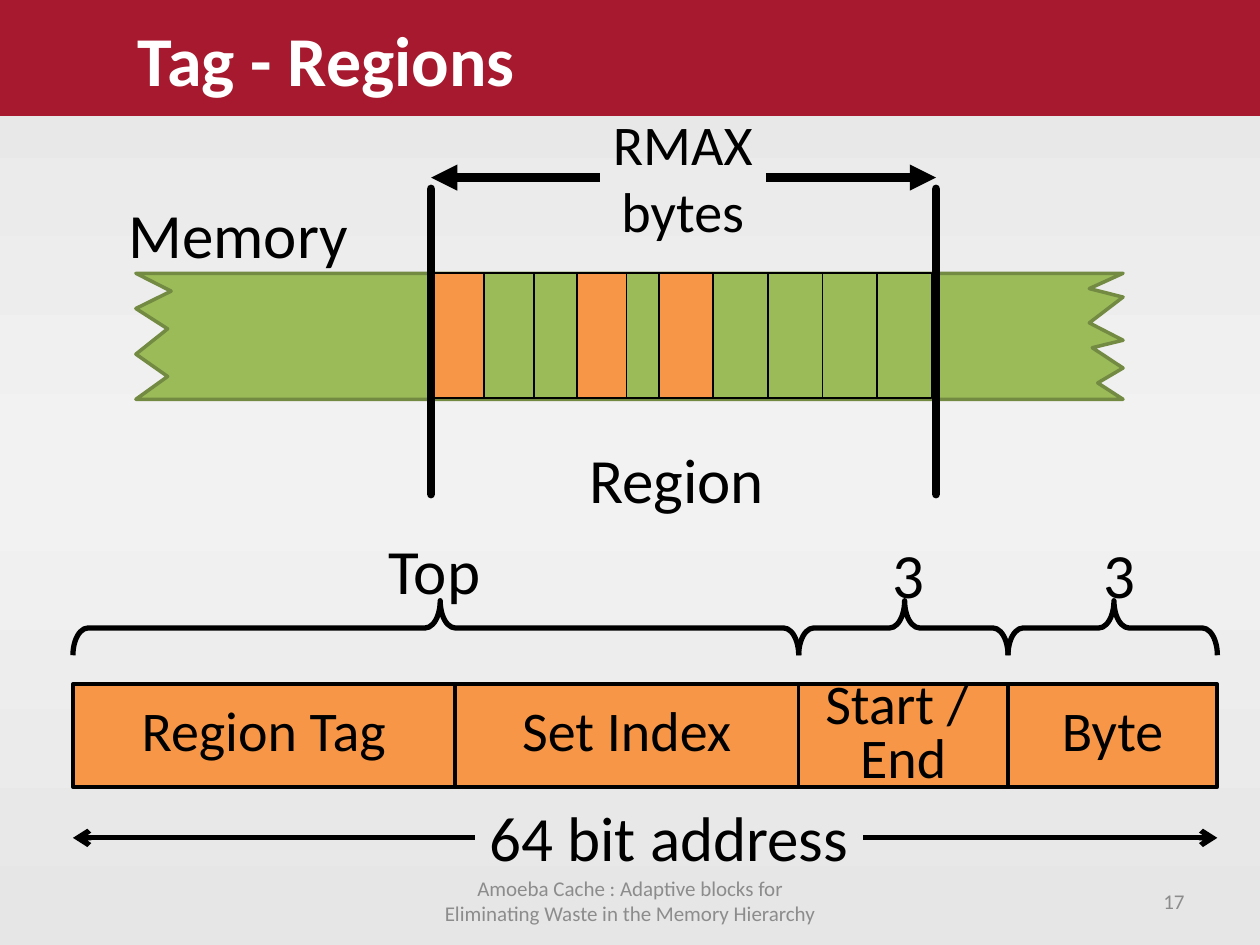
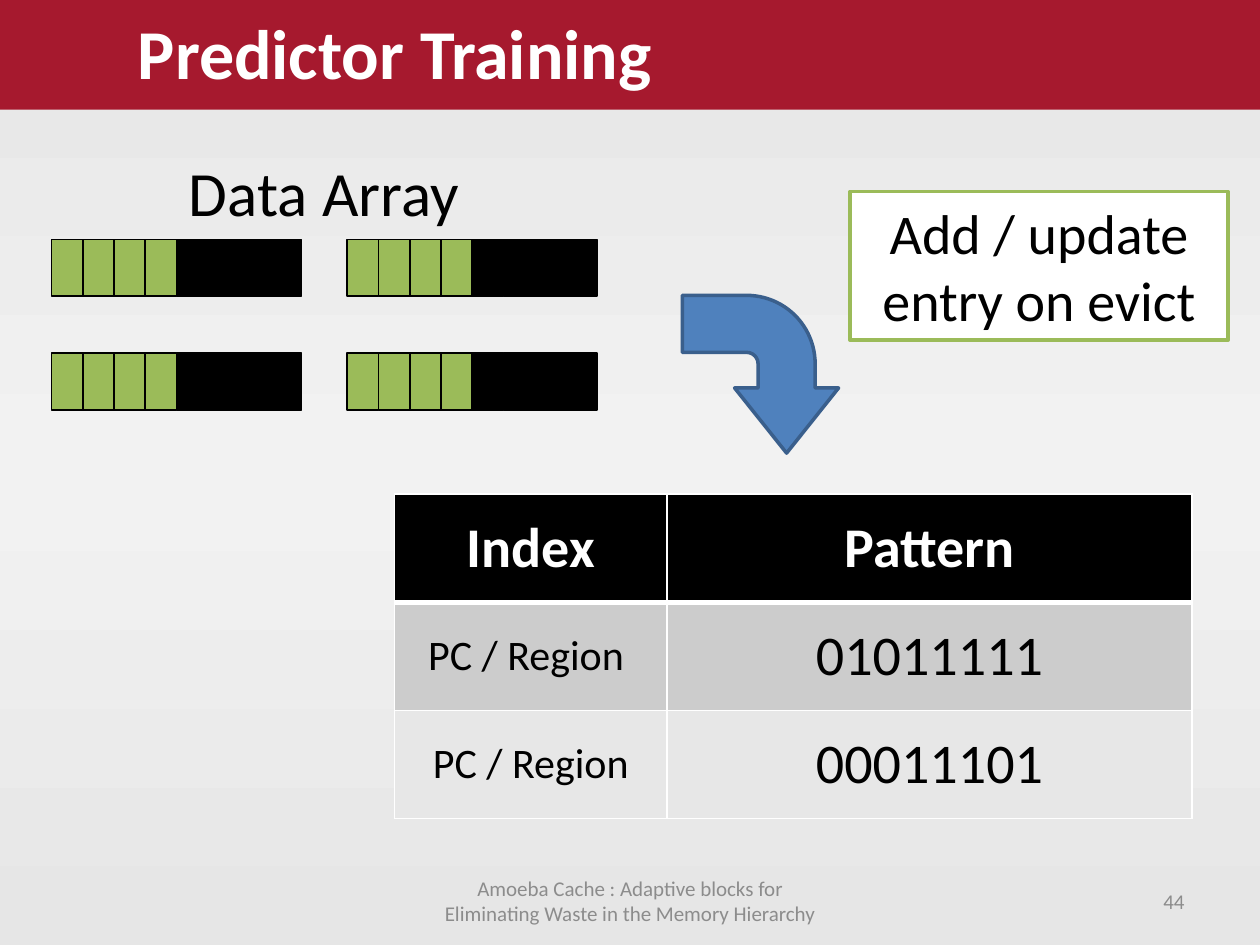
import copy

import lxml.etree
import pptx
import pptx.dml.color
import pptx.enum.shapes
import pptx.enum.text
import pptx.oxml.ns
import pptx.util

Cm = pptx.util.Cm
Pt = pptx.util.Pt
SHAPE = pptx.enum.shapes.MSO_SHAPE
ALIGN = pptx.enum.text.PP_ALIGN
ANCHOR = pptx.enum.text.MSO_ANCHOR
qn = pptx.oxml.ns.qn

FONT = "Calibri"
BLACK, WHITE = "000000", "FFFFFF"
CRIMSON, GREEN, ORANGE, BLUE = "A6192E", "9BBB59", "F79646", "4F81BD"
DARK_GREEN, DARK_BLUE, FOOTER_GREY = "738A42", "3A5F8C", "8C8C8C"
FOOTER = "Amoeba Cache : Adaptive blocks for Eliminating Waste in the Memory Hierarchy"


def rgb(value):
    """Turn a hex string into a colour."""
    return pptx.dml.color.RGBColor.from_string(value)


def add_element(parent, tag, **attributes):
    """Append an XML element to its parent."""
    return lxml.etree.SubElement(parent, qn(tag), **attributes)


def write(frame, text, size=36, color=BLACK, bold=False, align=ALIGN.LEFT,
          anchor=None, wrap=None, spacing=None, indent=None):
    """Fill a text frame, one paragraph per line of text."""
    if anchor is not None:
        frame.vertical_anchor = anchor
    if wrap is not None:
        frame.word_wrap = wrap
    if indent is not None:
        frame.margin_left = Cm(indent)
    for number, words in enumerate(text.split("\n")):
        paragraph = frame.add_paragraph() if number else frame.paragraphs[0]
        paragraph.alignment = align
        paragraph.line_spacing = spacing
        run = paragraph.add_run()
        run.text = words
        run.font.name = FONT
        run.font.size = Pt(size)
        run.font.bold = bold
        run.font.color.rgb = rgb(color)


def label(slide, box, text, wrap=False, **style):
    """Place free-standing text."""
    frame = slide.shapes.add_textbox(*map(Cm, box)).text_frame
    write(frame, text, wrap=wrap, **style)


def paint(shape, fill=None, line=None, width=1):
    """Set fill and outline and drop the shadow."""
    shape.shadow.inherit = False
    if fill:
        shape.fill.solid()
        shape.fill.fore_color.rgb = rgb(fill)
    else:
        shape.fill.background()
    if line:
        shape.line.color.rgb = rgb(line)
        shape.line.width = Pt(width)
    else:
        shape.line.fill.background()


def block(slide, box, kind=SHAPE.RECTANGLE, **colours):
    """Place a preset shape."""
    shape = slide.shapes.add_shape(kind, *map(Cm, box))
    paint(shape, **colours)
    return shape


def rule(slide, start, end, width, head=None):
    """Draw a straight black line with an optional arrowhead at its end."""
    line = slide.shapes.add_connector(
        pptx.enum.shapes.MSO_CONNECTOR.STRAIGHT, *map(Cm, start + end))
    line.line.color.rgb = rgb(BLACK)
    line.line.width = Pt(width)
    properties = line.element.spPr
    stroke = properties.find(qn("a:ln"))
    if head:
        add_element(stroke, "a:tailEnd", type=head)
    else:
        stroke.set("cap", "rnd")
    add_element(properties, "a:effectLst")


def brace(slide, left, top, span, depth=1.1):
    """Draw a brace that opens downwards over a span."""
    box = (left + (span - depth) / 2, top + (depth - span) / 2, depth, span)
    shape = block(slide, box, SHAPE.LEFT_BRACE, line=BLACK, width=3)
    shape.rotation = 90
    shape.adjustments[0], shape.adjustments[1] = 0.276, 0.494


def cell_row(slide, left, top, width, height, fills):
    """Draw touching cells from left to right."""
    for number, fill in enumerate(fills):
        block(slide, (left + number * width, top, width, height),
              fill=fill, line=BLACK)


def set_background(master):
    """Give every slide the soft grey gradient."""
    fill = master.background.fill
    fill.gradient()
    stops = next(master.element.iter(qn("a:gsLst")))
    stops.append(copy.deepcopy(stops[0]))
    shades = ((0, "E6E6E6"), (0.5, "F2F2F2"), (1, "E6E6E6"))
    for stop, (position, shade) in zip(fill.gradient_stops, shades):
        stop.position = position
        stop.color.rgb = rgb(shade)
    fill.gradient_angle = 270


def start_slide(deck, title, number, band_top=0):
    """Add a slide with title band, footer and number."""
    slide = deck.slides.add_slide(deck.slide_layouts[6])
    footer = dict(size=12, color=FOOTER_GREY, anchor=ANCHOR.MIDDLE, wrap=True)
    label(slide, (8.68, 17.65, 8.05, 1.02), FOOTER, align=ALIGN.CENTER, **footer)
    label(slide, (18.2, 17.65, 5.93, 1.02), number, align=ALIGN.RIGHT, **footer)
    band = block(slide, (0, band_top, 25.4, 2.34), fill=CRIMSON)
    write(band.text_frame, title, size=40, color=WHITE, bold=True,
          anchor=ANCHOR.MIDDLE, indent=2.78)
    return slide


def memory_strip(slide, left, top):
    """Draw the torn memory strip with its marked region."""
    height = 2.54
    right_tear = [(19.9, 0), (19.22, 0.31), (19.9, 0.48), (19.22, 1), (19.9, 1.35),
                  (19.28, 1.5), (19.9, 1.91), (19.39, 2.21), (19.9, height)]
    left_tear = [(0, height), (0.64, 2.08), (0, 1.63), (0.64, 1.12), (0, 0.71),
                 (0.71, 0.36)]
    outline = slide.shapes.build_freeform(Cm(left), Cm(top), scale=1.0)
    outline.add_line_segments(
        [(Cm(left + x), Cm(top + y)) for x, y in right_tear + left_tear])
    paint(outline.convert_to_shape(), GREEN, DARK_GREEN, 2)
    label(slide, (left - 0.4, top - 1.7, 5.26, 1.8), "Memory")

    for offset, width in ((6.02, 1), (8.89, 1), (10.54, 1.1)):
        cell_row(slide, left + offset, top, width, 2.51, [ORANGE] + [GREEN] * 4)

    region_left, region_right = left + 5.95, left + 16.13
    for edge in (region_left, region_right):
        rule(slide, (edge, top - 1.7), (edge, top + 4.45), 5)
    label(slide, (left + 8.89, top + 3.25, 4.06, 1.8), "Region")
    label(slide, (left + 9.35, top - 3.43, 3.35, 3), "RMAX\nbytes",
          size=32, align=ALIGN.CENTER)
    arrow_y = top - 1.93
    for inner, edge in ((9.35, region_left), (12.7, region_right)):
        rule(slide, (left + inner, arrow_y), (edge, arrow_y), 5, "triangle")


def address_layout(slide, left, top):
    """Draw the address fields with braces above and the total below."""
    widths = {"Region Tag": 7.7, "Set Index": 6.93, "Start / \nEnd": 4.22,
              "Byte": 4.22}
    field_left = left
    for name, width in widths.items():
        field = block(slide, (field_left, top, width, 2.08),
                      fill=ORANGE, line=BLACK, width=2)
        write(field.text_frame, name, size=32, align=ALIGN.CENTER,
              anchor=ANCHOR.MIDDLE, spacing=0.8)
        field_left += width

    for offset, span in ((0, 14.63), (14.63, 4.22), (18.85, 4.22)):
        brace(slide, left + offset, top - 1.68, span)
    for bits, x, y, width in (("Top", 6.12, -3.2, 2.36), ("3", 16.28, -3.12, 1.17),
                              ("3", 20.52, -3.12, 1.17)):
        label(slide, (left + x, top + y, width, 1.8), bits)

    label(slide, (left + 8.1, top + 2.18, 7.83, 1.8), "64 bit address",
          align=ALIGN.CENTER)
    arrow_y = top + 3.1
    for inner, outer in ((8.1, 0), (15.93, 23.07)):
        rule(slide, (left + inner, arrow_y), (left + outer, arrow_y), 3, "arrow")


def data_array(slide, left, top):
    """Draw the grid of half-used cache blocks."""
    label(slide, (left + 2.52, top - 1.86, 5.99, 1.8), "Data Array")
    for column in range(2):
        for row in range(2):
            cell_row(slide, left + column * 5.96, top + row * 2.29, 0.63, 1.14,
                     [GREEN] * 4 + [BLACK] * 4)


def edge_cell(cell, **widths):
    """Give a table cell white borders, one width per side."""
    properties = cell._tc.get_or_add_tcPr()
    for side in "LRTB":
        border = add_element(properties, "a:ln" + side,
                             w=str(Pt(widths.get(side, 1))))
        add_element(add_element(border, "a:solidFill"), "a:srgbClr", val=WHITE)


def predictor_table(slide, left, top):
    """Draw the table of indexes and patterns."""
    entries = (("Index", "Pattern"), ("PC / Region ", "01011111"),
               ("PC / Region", "00011101"))
    row_fills = (BLACK, "CCCCCC", "E7E7E7")
    columns = (5.5, 10.58)
    table = slide.shapes.add_table(3, 2, Cm(left), Cm(top), Cm(sum(columns)),
                                   Cm(6.54)).table
    table.first_row = table.horz_banding = False
    for column, width in zip(table.columns, columns):
        column.width = Cm(width)
    for r, (entry, fill) in enumerate(zip(entries, row_fills)):
        header = r == 0
        for c, text in enumerate(entry):
            cell = table.cell(r, c)
            edge_cell(cell, B=3 if header else 1, T=3 if r == 1 else 1)
            cell.fill.solid()
            cell.fill.fore_color.rgb = rgb(fill)
            cell.vertical_anchor = ANCHOR.MIDDLE
            write(cell.text_frame, text, size=32 if header or c else 24,
                  color=WHITE if header else BLACK, bold=header,
                  align=ALIGN.CENTER)


def evict_step(slide, left, top):
    """Draw the turning arrow and its caption."""
    arrow = block(slide, (left, top + 2.11, 3.18, 3.15), SHAPE.BENT_ARROW,
                  fill=BLUE, line=DARK_BLUE, width=2)
    arrow.rotation = 90
    for number, value in enumerate((0.365, 0.333, 0.417, 0.438)):
        arrow.adjustments[number] = value
    caption = block(slide, (left + 3.4, top, 7.62, 3),
                    fill=WHITE, line=GREEN, width=2)
    write(caption.text_frame, "Add / update entry on evict", size=32,
          align=ALIGN.CENTER, anchor=ANCHOR.MIDDLE, wrap=True)


def main():
    """Build both slides and save them."""
    deck = pptx.Presentation()
    deck.slide_width, deck.slide_height = Cm(25.4), Cm(19.05)
    set_background(deck.slide_master)

    regions = start_slide(deck, "Tag - Regions", "17")
    memory_strip(regions, 2.74, 5.51)
    address_layout(regions, 1.47, 13.79)

    training = start_slide(deck, "Predictor Training", "44", band_top=-0.13)
    data_array(training, 1.04, 4.83)
    predictor_table(training, 7.95, 9.96)
    evict_step(training, 13.74, 3.86)

    deck.save("out.pptx")


if __name__ == "__main__":
    main()
